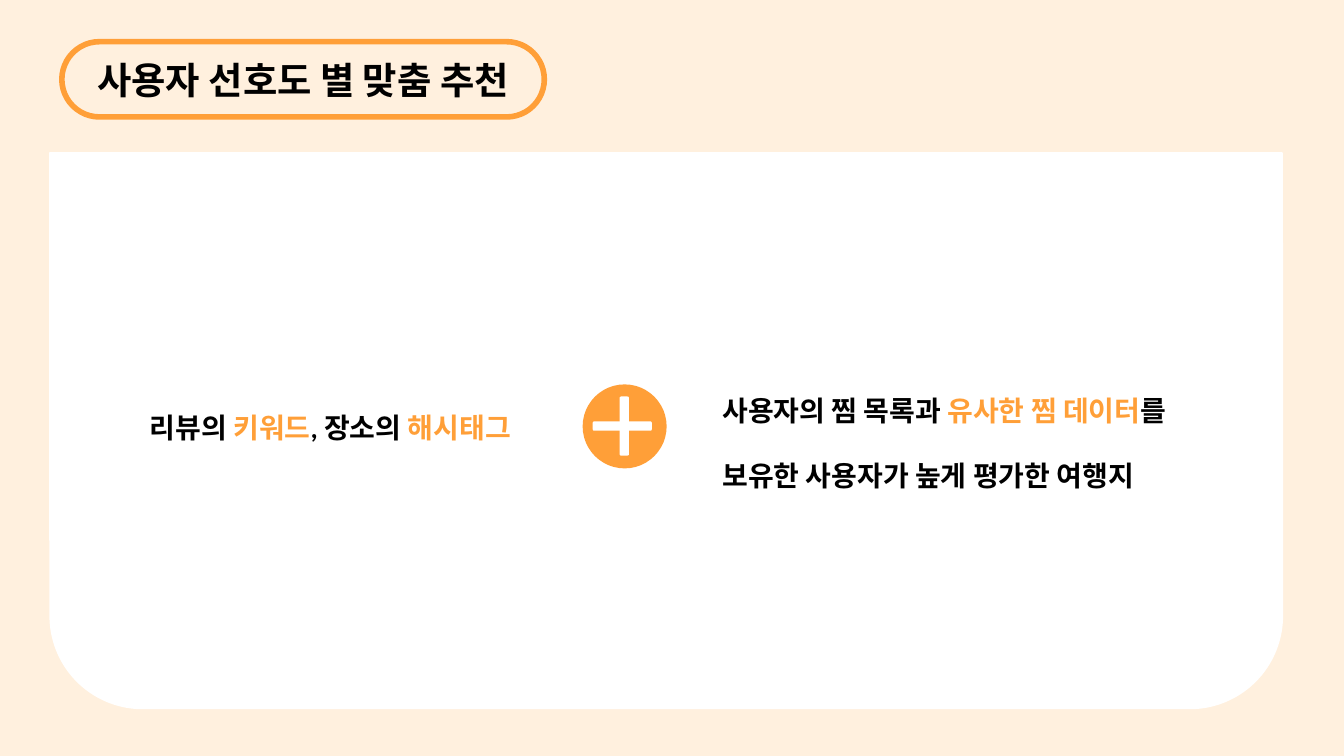
from dataclasses import dataclass
from pptx import Presentation
from pptx.dml.color import RGBColor
from pptx.enum.shapes import MSO_SHAPE as Shape
from pptx.enum.text import MSO_ANCHOR as Anchor, MSO_AUTO_SIZE as AutoSize, PP_ALIGN as Align
from pptx.util import Inches, Pt


@dataclass(frozen=True)
class Theme:
    font: str = "Calibri"
    cream: RGBColor = RGBColor(0xFF, 0xF0, 0xDE)
    orange: RGBColor = RGBColor(0xFF, 0x9F, 0x38)
    white: RGBColor = RGBColor(0xFF, 0xFF, 0xFF)
    black: RGBColor = RGBColor(0, 0, 0)
    title: int = 40
    body: int = 30


theme = Theme()
deck = Presentation()
deck.slide_width, deck.slide_height = Inches(20), Inches(11.25)
page = deck.slides.add_slide(deck.slide_layouts[6])
page.background.fill.solid()
page.background.fill.fore_color.rgb = theme.cream


def add_panel(kind, place, fill=None, line=None, width=0, corner=None, turn=0):
    panel = page.shapes.add_shape(kind, *map(Inches, place))
    panel.shadow.inherit = False
    panel.rotation = turn
    if corner is not None:
        panel.adjustments[0] = corner
    if fill is None:
        panel.fill.background()
    else:
        panel.fill.solid()
        panel.fill.fore_color.rgb = fill
    if line is None:
        panel.line.fill.background()
    else:
        panel.line.color.rgb = line
        panel.line.width = Pt(width)
    return panel


def write(para, text, size=theme.body, color=theme.black):
    span = para.add_run()
    span.text = text
    span.font.name = theme.font
    span.font.size = Pt(size)
    span.font.bold = True
    span.font.color.rgb = color


for top, height, corner in [(2.28, 5.76, 0), (2.29, 8.25, None)]:
    add_panel(Shape.ROUNDED_RECTANGLE, (0.75, top, 18.33, height),
              fill=theme.white, line=theme.white, width=2, corner=corner)

badge = add_panel(Shape.ROUNDED_RECTANGLE, (0.92, 0.62, 7.18, 1.12),
                  line=theme.orange, width=6, corner=0.5)
badge.text_frame.vertical_anchor = Anchor.MIDDLE
heading = badge.text_frame.paragraphs[0]
heading.alignment = Align.CENTER
write(heading, "사용자 선호도 별 맞춤 추천", size=theme.title)

similar = page.shapes.add_textbox(Inches(10.75), Inches(5.38), Inches(7.67), Inches(1.96)).text_frame
similar.word_wrap = True
similar.auto_size = AutoSize.SHAPE_TO_FIT_TEXT
similar.margin_left = similar.margin_right = similar.margin_top = similar.margin_bottom = 0
first, second = similar.paragraphs[0], similar.add_paragraph()
first.line_spacing = second.line_spacing = Pt(70.2)
write(first, "사용자의 찜 목록과 ")
write(first, "유사한 찜 데이터", color=theme.orange)
write(first, "를")
write(second, "보유한 사용자가 높게 평가한 여행지")

keywords = page.shapes.add_textbox(Inches(2.13), Inches(6.06), Inches(5.95), Inches(0.61)).text_frame
keywords.word_wrap = False
keywords.auto_size = AutoSize.SHAPE_TO_FIT_TEXT
for text, color in [("리뷰의 ", theme.black), ("키워드", theme.orange),
                    (", 장소의 ", theme.black), ("해시태그", theme.orange)]:
    write(keywords.paragraphs[0], text, color=color)

add_panel(Shape.OVAL, (8.67, 5.72, 1.25, 1.25), fill=theme.orange)
for left, turn in [(8.82, 0), (8.85, 90)]:
    add_panel(Shape.ROUNDED_RECTANGLE, (left, 6.27, 0.88, 0.14), fill=theme.white, turn=turn)

deck.save("out.pptx")
